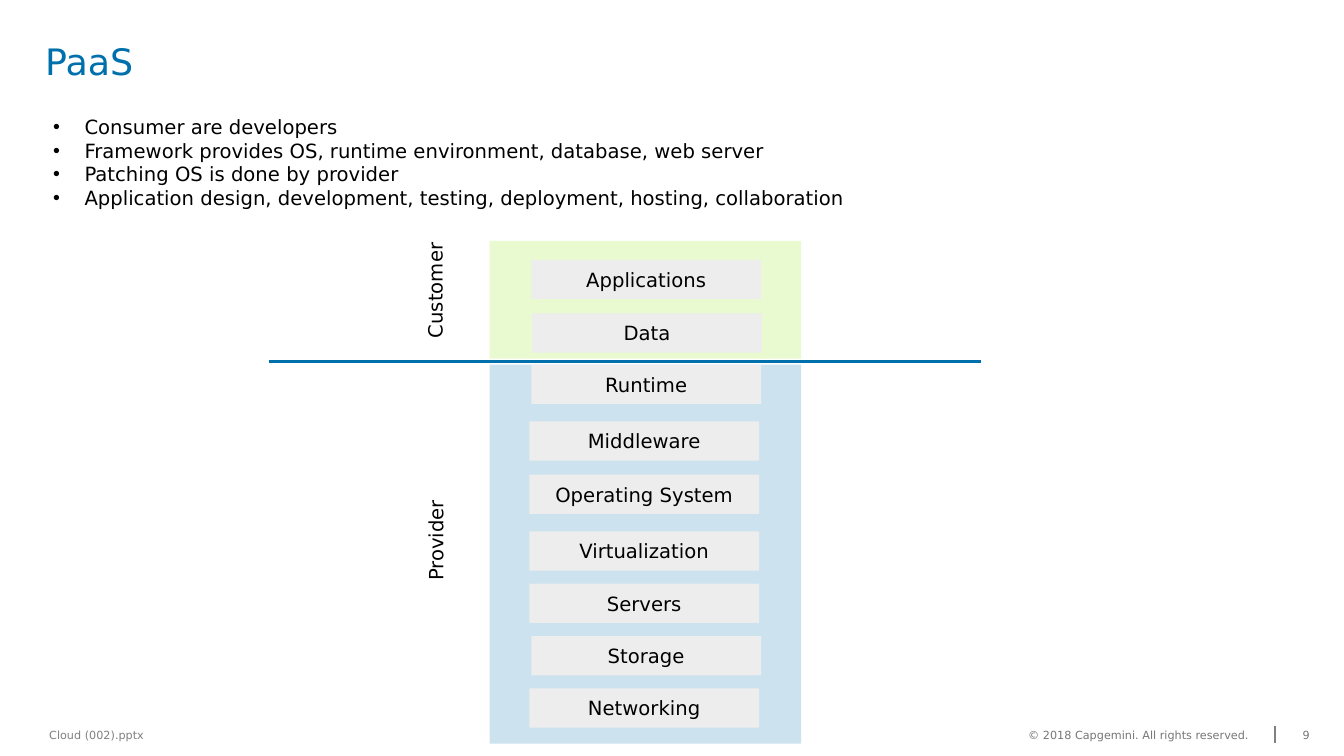
from dataclasses import dataclass

from lxml.etree import SubElement
from pptx import Presentation
from pptx.dml.color import RGBColor
from pptx.enum.shapes import MSO_CONNECTOR, MSO_SHAPE
from pptx.enum.text import MSO_ANCHOR as Anchor, MSO_AUTO_SIZE as AutoSize, PP_ALIGN as Align
from pptx.oxml.ns import qn
from pptx.slide import Slide
from pptx.text.text import TextFrame
from pptx.util import Cm, Pt

COLORS = {
    "blue": "0070AD",
    "customer": "EAFAD0",
    "provider": "CCE3EF",
    "layer": "EDEDED",
    "text": "000000",
    "footer": "808080",
    "legal": "767676",
}
FONT = "DejaVu Sans"


@dataclass(frozen=True)
class Block:
    left: float
    top: float
    width: float
    height: float
    color: str
    text: str = ""


@dataclass(frozen=True)
class Label:
    text: str
    left: float
    top: float
    width: float
    height: float
    size: int = 8
    color: str = "legal"
    align: Align = Align.LEFT
    wrap: bool = True
    margin: float = 0
    rotation: int = 0


ZONES = [
    Block(12.34, 6.07, 7.85, 2.97, "customer"),
    Block(12.34, 9.19, 7.85, 9.55, "provider"),
]
LAYERS = [
    Block(left, top, 5.79, 0.99, "layer", text)
    for text, left, top in [
        ("Applications", 13.39, 6.55),
        ("Data", 13.41, 7.9),
        ("Runtime", 13.39, 9.19),
        ("Middleware", 13.34, 10.62),
        ("Operating System", 13.34, 11.96),
        ("Virtualization", 13.34, 13.39),
        ("Servers", 13.34, 14.71),
        ("Storage", 13.39, 16.03),
        ("Networking", 13.34, 17.35),
    ]
]
LABELS = [
    Label("Cloud (002).pptx", 1.14, 18.21, 8.51, 0.61, color="footer", margin=0.1),
    Label("© 2018 Capgemini. All rights reserved.", 25.91, 18.21, 6.17, 0.61),
    Label("9", 32.74, 18.21, 0.36, 0.61, align=Align.CENTER, wrap=False),
    Label("Customer", 9.5, 6.88, 2.92, 0.86, 14, "text", wrap=False, margin=0.25, rotation=270),
    Label("Provider", 9.68, 13.16, 2.59, 0.86, 14, "text", wrap=False, margin=0.25, rotation=270),
]
BULLETS = [
    "Consumer are developers",
    "Framework provides OS, runtime environment, database, web server",
    "Patching OS is done by provider",
    "Application design, development, testing, deployment, hosting, collaboration",
]


def rgb(color: str) -> RGBColor:
    return RGBColor.from_string(COLORS[color])


def apply(target: object, formats: dict[str, object]) -> None:
    for attribute, setting in formats.items():
        setattr(target, attribute, setting)


def place(target: object, left: float, top: float, width: float, height: float) -> None:
    apply(target, {"left": Cm(left), "top": Cm(top), "width": Cm(width), "height": Cm(height)})


def format_frame(frame: TextFrame, margin_x: float, margin_y: float, anchor: Anchor, wrap: bool) -> None:
    apply(frame, {
        "margin_left": Cm(margin_x), "margin_right": Cm(margin_x),
        "margin_top": Cm(margin_y), "margin_bottom": Cm(margin_y),
        "vertical_anchor": anchor, "word_wrap": wrap, "auto_size": AutoSize.NONE,
    })


def format_text(frame: TextFrame, size: int, color: str, align: Align = Align.LEFT) -> None:
    for paragraph in frame.paragraphs:
        paragraph.alignment = align
        apply(paragraph.font, {"name": FONT, "size": Pt(size)})
        paragraph.font.color.rgb = rgb(color)


def add_block(slide: Slide, block: Block) -> None:
    box = slide.shapes.add_shape(
        MSO_SHAPE.RECTANGLE, Cm(block.left), Cm(block.top), Cm(block.width), Cm(block.height)
    )
    box.shadow.inherit = False
    box.fill.solid()
    box.fill.fore_color.rgb = rgb(block.color)
    box.line.fill.background()
    if block.text:
        box.text_frame.text = block.text
        format_frame(box.text_frame, 0.25, 0.13, Anchor.MIDDLE, True)
        format_text(box.text_frame, 14, "text", Align.CENTER)


def add_label(slide: Slide, label: Label) -> None:
    box = slide.shapes.add_textbox(
        Cm(label.left), Cm(label.top), Cm(label.width), Cm(label.height)
    )
    box.rotation = label.rotation
    box.text_frame.text = label.text
    format_frame(box.text_frame, label.margin, label.margin / 2, Anchor.MIDDLE, label.wrap)
    format_text(box.text_frame, label.size, label.color, label.align)


def add_rule(slide: Slide, start: tuple[float, float], end: tuple[float, float], color: str, weight: int) -> None:
    rule = slide.shapes.add_connector(MSO_CONNECTOR.STRAIGHT, *map(Cm, start + end))
    rule.line.color.rgb = rgb(color)
    rule.line.width = Pt(weight)
    SubElement(rule._element.spPr, qn("a:effectLst"))


def add_title(slide: Slide) -> None:
    title = slide.shapes.title
    place(title, 1.14, 1.12, 30.61, 2.39)
    title.text_frame.text = "PaaS"
    format_frame(title.text_frame, 0, 0, Anchor.TOP, True)
    title.text_frame.paragraphs[0].line_spacing = 0.9
    format_text(title.text_frame, 26, "blue")


def add_bullets(slide: Slide) -> None:
    body = slide.placeholders[1]
    place(body, 1.09, 2.77, 20.6, 2.64)
    frame = body.text_frame
    frame.text = "\n".join(BULLETS)
    format_frame(frame, 0.25, 0.13, Anchor.TOP, False)
    for paragraph in frame.paragraphs:
        paragraph.space_before = Pt(0)
        properties = paragraph._p.get_or_add_pPr()
        properties.set("marL", str(Cm(0.79)))
        properties.set("indent", str(Cm(-0.79)))
        SubElement(properties, qn("a:buFont"), typeface="Arial")
        SubElement(properties, qn("a:buChar"), char="•")
    format_text(frame, 14, "text")


def main() -> None:
    deck = Presentation()
    apply(deck, {"slide_width": Cm(33.87), "slide_height": Cm(19.05)})
    slide = deck.slides.add_slide(deck.slide_layouts[1])
    add_title(slide)
    add_bullets(slide)
    for block in ZONES + LAYERS:
        add_block(slide, block)
    add_rule(slide, (6.78, 9.12), (24.71, 9.12), "blue", 2)
    add_rule(slide, (32.13, 18.72), (32.13, 18.29), "footer", 1)
    for label in LABELS:
        add_label(slide, label)
    deck.save("out.pptx")


if __name__ == "__main__":
    main()
